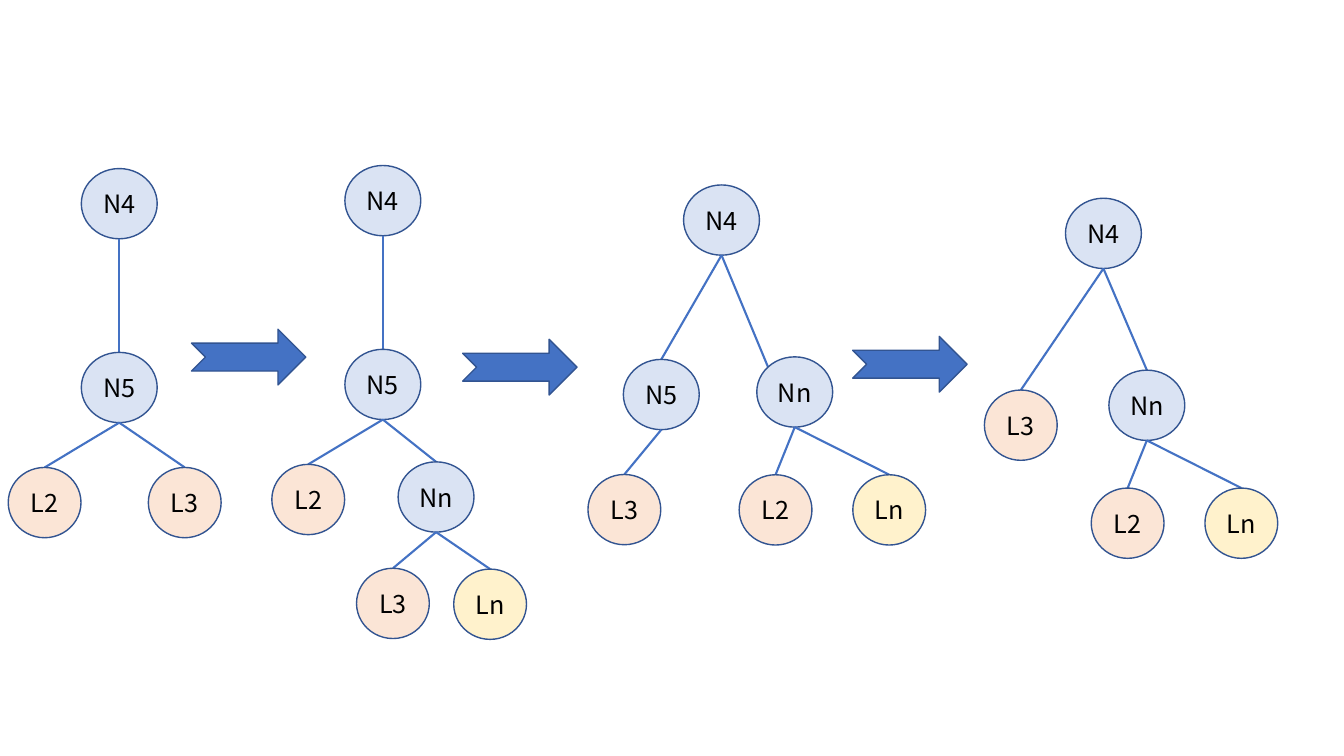
"""Four tree diagrams that show node Nn being inserted and N5 removed."""
from dataclasses import dataclass

from lxml import etree
from pptx import Presentation
from pptx.dml.color import RGBColor
from pptx.enum.shapes import MSO_CONNECTOR, MSO_SHAPE
from pptx.enum.text import MSO_ANCHOR, PP_ALIGN
from pptx.oxml.ns import qn
from pptx.util import Pt

STRAIGHT = MSO_CONNECTOR.STRAIGHT
ELLIPSE = MSO_SHAPE.OVAL
ARROW = MSO_SHAPE.NOTCHED_RIGHT_ARROW
MIDDLE = MSO_ANCHOR.MIDDLE
CENTER = PP_ALIGN.CENTER

INNER_FILL = RGBColor(0xDA, 0xE3, 0xF3)
LEAF_FILL = RGBColor(0xFB, 0xE5, 0xD6)
NEW_LEAF_FILL = RGBColor(0xFF, 0xF2, 0xCC)
OUTLINE = RGBColor(0x32, 0x54, 0x91)
BLUE = RGBColor(0x44, 0x72, 0xC4)
BLACK = RGBColor(0, 0, 0)

FONT = "Noto Sans CJK SC"
INNER_WIDTH, LEAF_WIDTH, NODE_HEIGHT = 54.2, 52, 50.2
ARROW_WIDTH, ARROW_HEIGHT = 81.7, 39.8


@dataclass
class Node:
    """A tree node, offset in points from its parent's top centre."""

    label: str
    across: float = 0
    down: float = 0
    children: tuple = ()
    side_joint: bool = False


def split_node(across, down, **options):
    """Return node Nn with the leaves L2 and Ln below it."""
    leaves = (Node("L2", -13.7, 84.2), Node("Ln", 67.5, 84.2))
    return Node("Nn", across, down, leaves, **options)


INITIAL = Node("N4", children=(
    Node("N5", 0, 131.3, (Node("L2", -53.3, 82.2), Node("L3", 46.8, 82.2))),
))
INSERTED = Node("N4", children=(
    Node("N5", 0, 131.3, (
        Node("L2", -53.3, 82.2),
        Node("Nn", 38, 80.4, (Node("L3", -30.8, 76), Node("Ln", 38.6, 76.6))),
    )),
))
ROTATED = Node("N4", children=(
    Node("N5", -43, 124.6, (Node("L3", -26.4, 82.2),)),
    split_node(52.3, 122.8, side_joint=True),
))
REDUCED = Node("N4", children=(Node("L3", -59, 137), split_node(31, 122.8)))

TREES = (
    (INITIAL, 85.2, 120.4),
    (INSERTED, 273.5, 118.2),
    (ROTATED, 515.4, 132.1),
    (REDUCED, 788.2, 141.6),
)
ARROWS = ((136.8, 235.2), (330.5, 242.4), (609.1, 240.3))


def add_filled_shape(shapes, kind, left, top, width, height, fill):
    """Add an outlined preset shape without a shadow."""
    shape = shapes.add_shape(kind, Pt(left), Pt(top), Pt(width), Pt(height))
    shape.shadow.inherit = False
    shape.fill.solid()
    shape.fill.fore_color.rgb = fill
    shape.line.color.rgb = OUTLINE
    shape.line.width = Pt(1)
    return shape


def write_text(shape, text, size=18, color=BLACK, alignment=CENTER):
    """Write one formatted paragraph into a shape."""
    frame = shape.text_frame
    frame.word_wrap = True
    frame.vertical_anchor = MIDDLE
    paragraph = frame.paragraphs[0]
    paragraph.alignment = alignment
    run = paragraph.add_run()
    run.text = text
    run.font.name = FONT
    run.font.size = Pt(size)
    run.font.color.rgb = color


def add_branch(shapes, start, end):
    """Add a plain line between two points."""
    points = [Pt(value) for value in (*start, *end)]
    branch = shapes.add_connector(STRAIGHT, *points)
    branch.line.color.rgb = BLUE
    branch.line.width = Pt(1.5)
    properties = branch._element.find(qn("p:spPr"))
    etree.SubElement(properties, qn("a:effectLst"))


def add_tree(shapes, node, center, top):
    """Draw a node at its top centre, then its branches and children."""
    is_inner = node.label.startswith("N")
    width = INNER_WIDTH if is_inner else LEAF_WIDTH
    fill = INNER_FILL if is_inner else LEAF_FILL
    if node.label == "Ln":
        fill = NEW_LEAF_FILL
    circle = add_filled_shape(shapes, ELLIPSE, center - width / 2, top,
                              width, NODE_HEIGHT, fill)
    write_text(circle, node.label)
    for child in node.children:
        child_center, child_top = center + child.across, top + child.down
        end = (child_center, child_top)
        if child.side_joint:
            end = (child_center - INNER_WIDTH * 0.35,
                   child_top + NODE_HEIGHT * 0.15)
        add_branch(shapes, (center, top + NODE_HEIGHT), end)
        add_tree(shapes, child, child_center, child_top)


def build_slide(presentation):
    """Place the four trees and the arrows between them."""
    slide = presentation.slides.add_slide(presentation.slide_layouts[6])
    for root, center, top in TREES:
        add_tree(slide.shapes.add_group_shape().shapes, root, center, top)
    for left, top in ARROWS:
        add_filled_shape(slide.shapes, ARROW, left, top,
                         ARROW_WIDTH, ARROW_HEIGHT, BLUE)


def main():
    """Create and save the presentation."""
    presentation = Presentation()
    presentation.slide_width = Pt(960)
    presentation.slide_height = Pt(540)
    build_slide(presentation)
    presentation.save("out.pptx")


if __name__ == "__main__":
    main()
